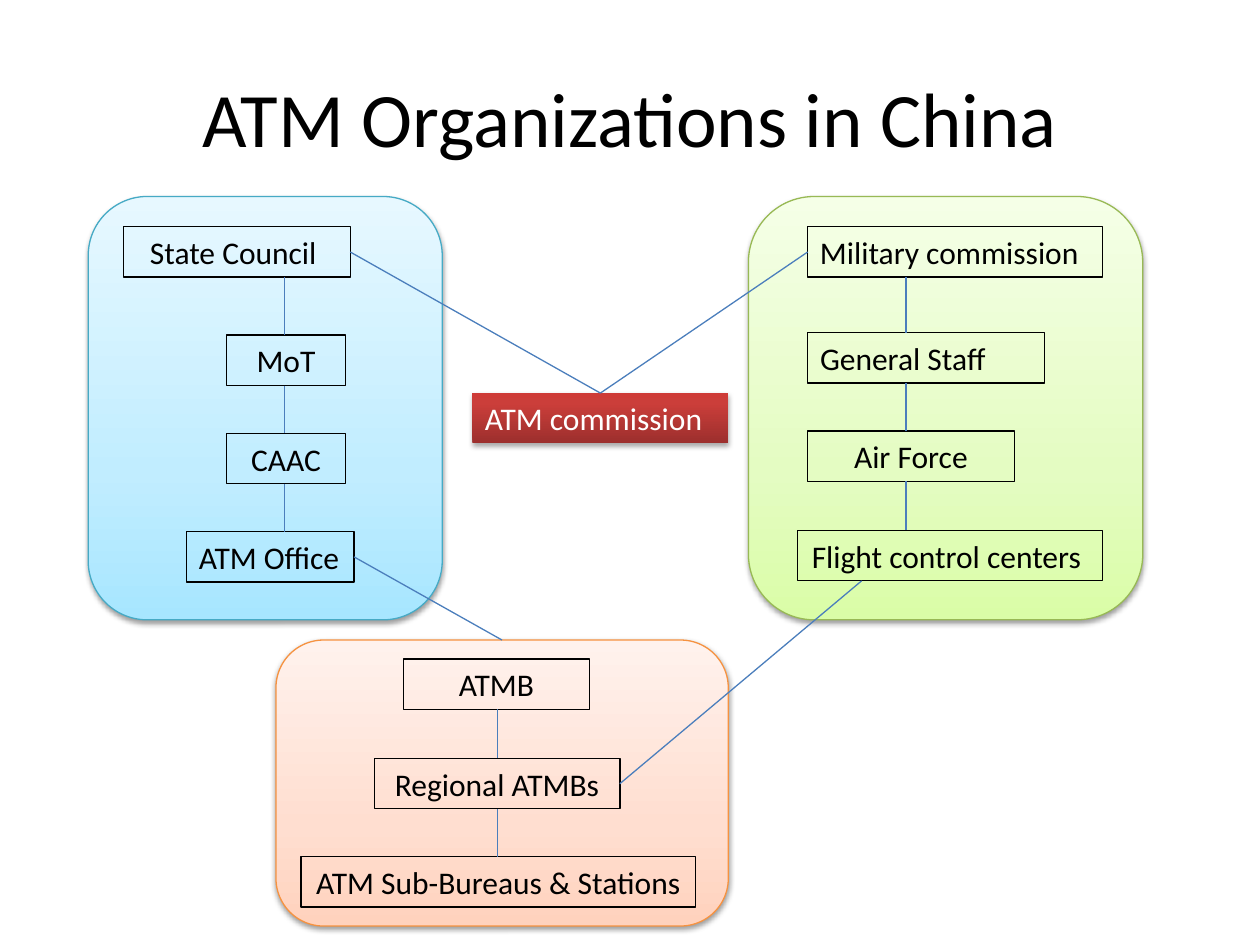
import copy

import pptx
import pptx.dml.color
import pptx.enum.shapes
import pptx.enum.text
import pptx.oxml
import pptx.oxml.ns
import pptx.util

Inches, Pt = pptx.util.Inches, pptx.util.Pt
Shape = pptx.enum.shapes.MSO_SHAPE
Align = pptx.enum.text.PP_ALIGN
qn = pptx.oxml.ns.qn

COLORS = {
    "text": "000000", "white": "FFFFFF", "link": "4B7EBC",
    "blue": "46AAC5", "green": "98B955", "orange": "F69240",
}
# Gradient stops run from the bottom edge to the top edge.
FADES = {
    "blue": [(0, "A7E6FF"), (0.35, "C1EDFF"), (1, "E7F8FF")],
    "green": [(0, "DAFDA7"), (0.35, "E4FCC2"), (1, "F5FFE7")],
    "orange": [(0, "FFD2BD"), (0.35, "FFDED0"), (1, "FFF2ED")],
    "red": [(0, "9C2F2D"), (0.8, "CB3E3A"), (1, "CE3B37")],
}
ROW = 0.4


def rgb(name):
    return pptx.dml.color.RGBColor.from_string(COLORS[name])


def fade(shape, name):
    """Fill a shape with a three-stop vertical gradient."""
    fill = shape.fill
    fill.gradient()
    fill.gradient_angle = 90
    stops = shape.element.spPr.find(".//" + qn("a:gsLst"))
    stops.append(copy.deepcopy(stops[0]))
    for stop, (pos, color) in zip(fill.gradient_stops, FADES[name]):
        stop.position = pos
        stop.color.rgb = pptx.dml.color.RGBColor.from_string(color)


def shade(shape, drop, alpha):
    """Cast a soft shadow straight down."""
    shape.shadow.inherit = False
    shape.element.spPr.find(qn("a:effectLst")).append(pptx.oxml.parse_xml(
        '<a:outerShdw xmlns:a="http://schemas.openxmlformats.org/drawingml/2006/main" '
        f'blurRad="{Pt(3.1)}" dist="{Pt(drop)}" dir="5400000" rotWithShape="0">'
        f'<a:srgbClr val="000000"><a:alpha val="{alpha * 1000}"/></a:srgbClr>'
        '</a:outerShdw>'))


def write(frame, text, size, color, align):
    para = frame.paragraphs[0]
    para.alignment = align
    run = para.add_run()
    run.text = text
    run.font.size = Pt(size)
    run.font.name = "Calibri"
    run.font.color.rgb = rgb(color)


def label(slide, x, y, w, text, align=Align.CENTER, color="text"):
    box = slide.shapes.add_textbox(Inches(x), Inches(y), Inches(w), Inches(ROW))
    box.text_frame.word_wrap = True
    box.text_frame.auto_size = pptx.enum.text.MSO_AUTO_SIZE.SHAPE_TO_FIT_TEXT
    write(box.text_frame, text, 18, color, align)
    return box


def spot(shape, across, down):
    """Point at the given fractions of a shape's width and height."""
    return (shape.left + int(shape.width * across),
            shape.top + int(shape.height * down))


def link(slide, start, end):
    line = slide.shapes.add_connector(
        pptx.enum.shapes.MSO_CONNECTOR.STRAIGHT, *start, *end)
    line.line.color.rgb = rgb("link")
    line.line.width = Pt(0.75)
    line.element.spPr.append(pptx.oxml.parse_xml(
        '<a:effectLst xmlns:a="http://schemas.openxmlformats.org/drawingml/2006/main"/>'))


def panel(slide, x, y, w, h, color, spine, rows):
    """Rounded panel with a chain of labels joined along its spine."""
    back = slide.shapes.add_shape(
        Shape.ROUNDED_RECTANGLE, Inches(x), Inches(y), Inches(w), Inches(h))
    fade(back, color)
    back.line.color.rgb = rgb(color)
    back.line.width = Pt(0.75)
    shade(back, 1.6, 38)
    boxes = []
    for dx, dy, width, text, align in rows:
        box = label(slide, x + dx, y + dy, width, text, align)
        box.line.color.rgb = rgb("text")
        box.line.width = Pt(0.75)
        boxes.append(box)
    mid = Inches(x + spine)
    for upper, lower in zip(boxes, boxes[1:]):
        link(slide, (mid, upper.top + upper.height), (mid, lower.top))
    return back, boxes


def heading(slide, x, y, w, h, text):
    title = slide.shapes.title
    title.left, title.top = Inches(x), Inches(y)
    title.width, title.height = Inches(w), Inches(h)
    title.text_frame.vertical_anchor = pptx.enum.text.MSO_ANCHOR.MIDDLE
    write(title.text_frame, text, 44, "text", Align.CENTER)


def main():
    deck = pptx.Presentation()
    deck.slide_width, deck.slide_height = Inches(10), Inches(7.5)
    slide = deck.slides.add_slide(deck.slide_layouts[5])
    heading(slide, 0.5, 0.3, 9, 1.25, "ATM Organizations in China")

    mid, left = Align.CENTER, Align.LEFT
    bureau, local = panel(slide, 2.19, 5.08, 3.59, 2.27, "orange", 1.76, [
        (1.01, 0.15, 1.48, "ATMB", mid),
        (0.78, 0.94, 1.95, "Regional ATMBs", mid),
        (0.2, 1.72, 3.13, "ATM Sub-Bureaus & Stations", mid),
    ])
    _, army = panel(slide, 5.94, 1.56, 3.13, 3.36, "green", 1.25, [
        (0.47, 0.24, 2.34, "Military commission", left),
        (0.47, 1.08, 1.88, "General Staff", left),
        (0.47, 1.86, 1.64, "Air Force", mid),
        (0.39, 2.65, 2.42, "Flight control centers ", mid),
    ])
    _, civil = panel(slide, 0.7, 1.56, 2.81, 3.36, "blue", 1.56, [
        (0.28, 0.24, 1.8, "State Council ", mid),
        (1.1, 1.1, 0.94, "MoT", mid),
        (1.1, 1.88, 0.94, "CAAC", mid),
        (0.78, 2.66, 1.33, "ATM Office", left),
    ])
    hub = label(slide, 3.75, 3.12, 2.03, "ATM commission", left, "white")
    fade(hub, "red")
    shade(hub, 1.8, 35)

    link(slide, spot(civil[0], 1, 0.5), spot(hub, 0.5, 0))
    link(slide, spot(army[0], 0, 0.5), spot(hub, 0.5, 0))
    link(slide, spot(civil[-1], 1, 0.5), spot(bureau, 0.5, 0))
    link(slide, spot(army[-1], 0.21, 1), spot(local[1], 1, 0.5))
    deck.save("out.pptx")


if __name__ == "__main__":
    main()
